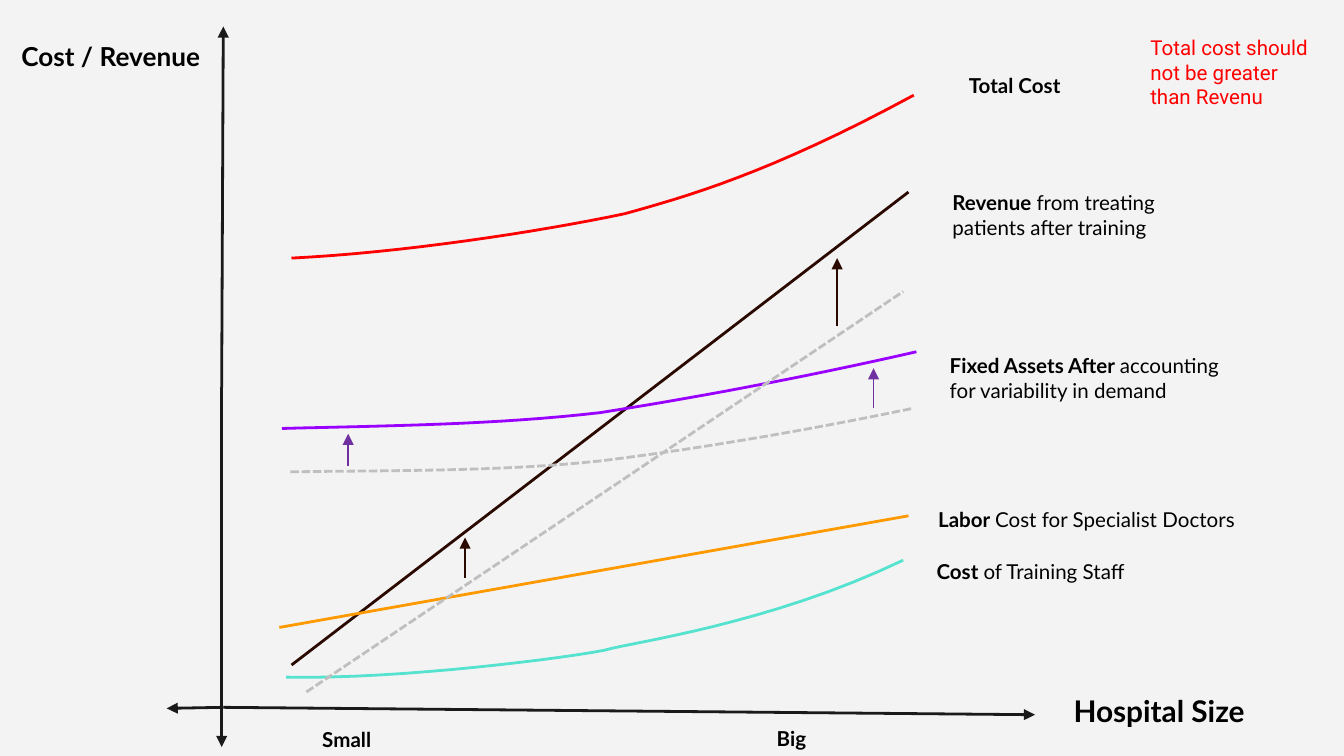
from collections import namedtuple

from lxml.etree import SubElement
from pptx import Presentation
from pptx.dml.color import RGBColor
from pptx.enum.dml import MSO_LINE
from pptx.enum.shapes import MSO_CONNECTOR, MSO_SHAPE
from pptx.enum.text import MSO_ANCHOR, PP_ALIGN
from pptx.oxml.ns import qn
from pptx.util import Cm, Pt

Box = namedtuple("Box", "left top width height")

COLORS = {
    "background": "F3F3F3",
    "axis": "1A1A1A",
    "text": "000000",
    "total": "FF0000",
    "revenue": "2A0A00",
    "fixed": "9900FF",
    "fixed_shift": "7030A0",
    "labor": "FF9900",
    "training": "55E2CF",
    "before": "BFBFBF",
}


def rgb(name):
    return RGBColor.from_string(COLORS[name])


def style_line(line, color, width, dashed=False):
    line.color.rgb = rgb(color)
    line.width = Pt(width)
    if dashed:
        line.dash_style = MSO_LINE.SQUARE_DOT


def add_line(s, box, start, end, color, width=1.5, dashed=False, arrow=False):
    x1, y1, x2, y2 = (Cm(v) for v in (box.left + start[0], box.top + start[1],
                                      box.left + end[0], box.top + end[1]))
    c = s.shapes.add_connector(MSO_CONNECTOR.STRAIGHT, x1, y1, x2, y2)
    style_line(c.line, color, width, dashed)
    if arrow:
        SubElement(c.line._get_or_add_ln(), qn("a:tailEnd"), type="triangle")
    SubElement(c._element.spPr, qn("a:effectLst"))


def bezier(p0, p1, p2, p3, t):
    u = 1 - t
    return tuple(u**3 * a + 3 * u * u * t * b + 3 * u * t * t * c + t**3 * d
                 for a, b, c, d in zip(p0, p1, p2, p3))


def add_curve(s, box, points, color, dashed=False, steps=16):
    """Draw joined cubic Bezier pieces: a start point, then three points a piece."""
    track = [points[0]]
    for i in range(0, len(points) - 1, 3):
        track += [bezier(*points[i:i + 4], k / steps) for k in range(1, steps + 1)]
    track = [(Cm(box.left + x), Cm(box.top + y)) for x, y in track]
    builder = s.shapes.build_freeform(*track[0])
    builder.add_line_segments(track[1:], close=False)
    sp = builder.convert_to_shape()
    sp.shadow.inherit = False
    sp.fill.background()
    style_line(sp.line, color, 1.5, dashed)


def add_text(s, box, paragraphs, size=11, font="Lato", color="text",
             align=PP_ALIGN.LEFT, inset=0.25):
    """Each paragraph is a list of (text, bold) runs."""
    tf = s.shapes.add_textbox(*(Cm(v) for v in box)).text_frame
    tf.word_wrap = True
    tf.vertical_anchor = MSO_ANCHOR.TOP
    tf.margin_left = tf.margin_right = Cm(0.25)
    tf.margin_top = tf.margin_bottom = Cm(inset)
    for i, runs in enumerate(paragraphs):
        p = tf.add_paragraph() if i else tf.paragraphs[0]
        p.alignment = align
        for text, bold in runs:
            r = p.add_run()
            r.text = text
            r.font.size, r.font.name, r.font.bold = Pt(size), font, bold
            r.font.color.rgb = rgb(color)


def add_background(s, box):
    sp = s.shapes.add_shape(MSO_SHAPE.RECTANGLE, *(Cm(v) for v in box))
    sp.shadow.inherit = False
    sp.fill.solid()
    sp.fill.fore_color.rgb = rgb("background")
    style_line(sp.line, "background", 0.75)


def add_axes(s, box):
    middle, crossing = (1.04, 6.82), (1.07, 12.87)
    for start, end in [(middle, (1.07, 0)), (middle, (1.04, box.height)),
                       (crossing, (box.width, 13.01)), (crossing, (0, 12.89))]:
        add_line(s, box, start, end, "axis", arrow=True)

    titles = [
        ("Cost / Revenue", -3.1, 0.01, 4.09, 14, PP_ALIGN.CENTER),
        ("Hospital Size", 16.89, 12.35, 4.88, 16, PP_ALIGN.LEFT),
        ("Small", 2.69, 13.01, 2.64, 11, PP_ALIGN.LEFT),
        ("Big", 11.28, 12.99, 2.64, 11, PP_ALIGN.LEFT),
    ]
    for text, x, y, width, size, align in titles:
        add_text(s, Box(box.left + x, box.top + y, width, 0.68),
                 [[(text, True)]], size, align=align)


def add_cost_lines(s, box):
    add_line(s, box, (2.36, 12.07), (14.02, 3.13), "revenue")
    add_line(s, box, (2.13, 11.36), (14.02, 9.25), "labor")

    curves = [
        ("fixed", [(2.18, 7.6), (4.14, 7.55), (6.25, 7.53), (8.2, 7.3),
                   (9.85, 7.04), (11.94, 6.66), (14.17, 6.15)]),
        ("total", [(2.36, 4.38), (4.42, 4.28), (7.01, 3.89), (8.66, 3.54),
                   (9.78, 3.23), (11.4, 2.78), (14.12, 1.3)]),
        ("training", [(2.26, 12.3), (4.42, 12.35), (7.67, 11.92), (8.28, 11.79),
                      (8.79, 11.64), (11.38, 11.31), (13.92, 10.09)]),
        ("before", [(2.34, 8.42), (4.24, 8.39), (6.3, 8.42), (8.23, 8.21),
                    (9.85, 8.01), (11.89, 7.68), (14.1, 7.22)]),
    ]
    for color, points in curves:
        add_curve(s, box, points, color, dashed=color == "before")
    add_line(s, box, (2.64, 12.58), (13.92, 5.01), "before", dashed=True)

    shifts = [("revenue", 5.64, 10.42, 9.66), ("revenue", 12.67, 5.67, 4.38),
              ("fixed_shift", 3.43, 8.31, 7.7), ("fixed_shift", 13.36, 7.22, 6.46)]
    for color, x, bottom, top in shifts:
        add_line(s, box, (x, bottom), (x, top), color, 0.75, arrow=True)


def add_line_labels(s, box):
    labels = [
        (0.61, 0.64, [[("Total Cost", True)]]),
        (0.3, 2.85, [[("Revenue ", True), ("from treating", False)],
                     [("patients after training", False)]]),
        (0.25, 5.93, [[("Fixed Assets After ", True), ("accounting", False)],
                      [("for variability in demand", False)]]),
        (0.03, 8.85, [[("Labor ", True), ("Cost for Specialist Doctors", False)]]),
        (0, 9.84, [[("Cost ", True), ("of Training Staff", False)]]),
    ]
    for x, y, paragraphs in labels:
        add_text(s, Box(box.left + x, box.top + y, box.width - x, 0.7 * len(paragraphs)),
                 paragraphs)


def add_warning(s, box):
    add_text(s, box, [[("Total cost should not be greater than Revenu", False)]],
             font="Roboto", color="total", inset=0.13)


def main():
    prs = Presentation()
    prs.slide_width, prs.slide_height = Cm(25.4), Cm(14.29)
    s = prs.slides.add_slide(prs.slide_layouts[6])
    plot = Box(3.15, 0.5, 16.41, 13.62)
    add_background(s, Box(0, 0, 25.4, 14.29))
    add_axes(s, plot)
    add_cost_lines(s, plot)
    add_line_labels(s, Box(17.45, 0.5, 7.2, 10.5))
    add_warning(s, Box(21.49, 0.53, 3.56, 1.68))
    prs.save("out.pptx")


if __name__ == "__main__":
    main()
